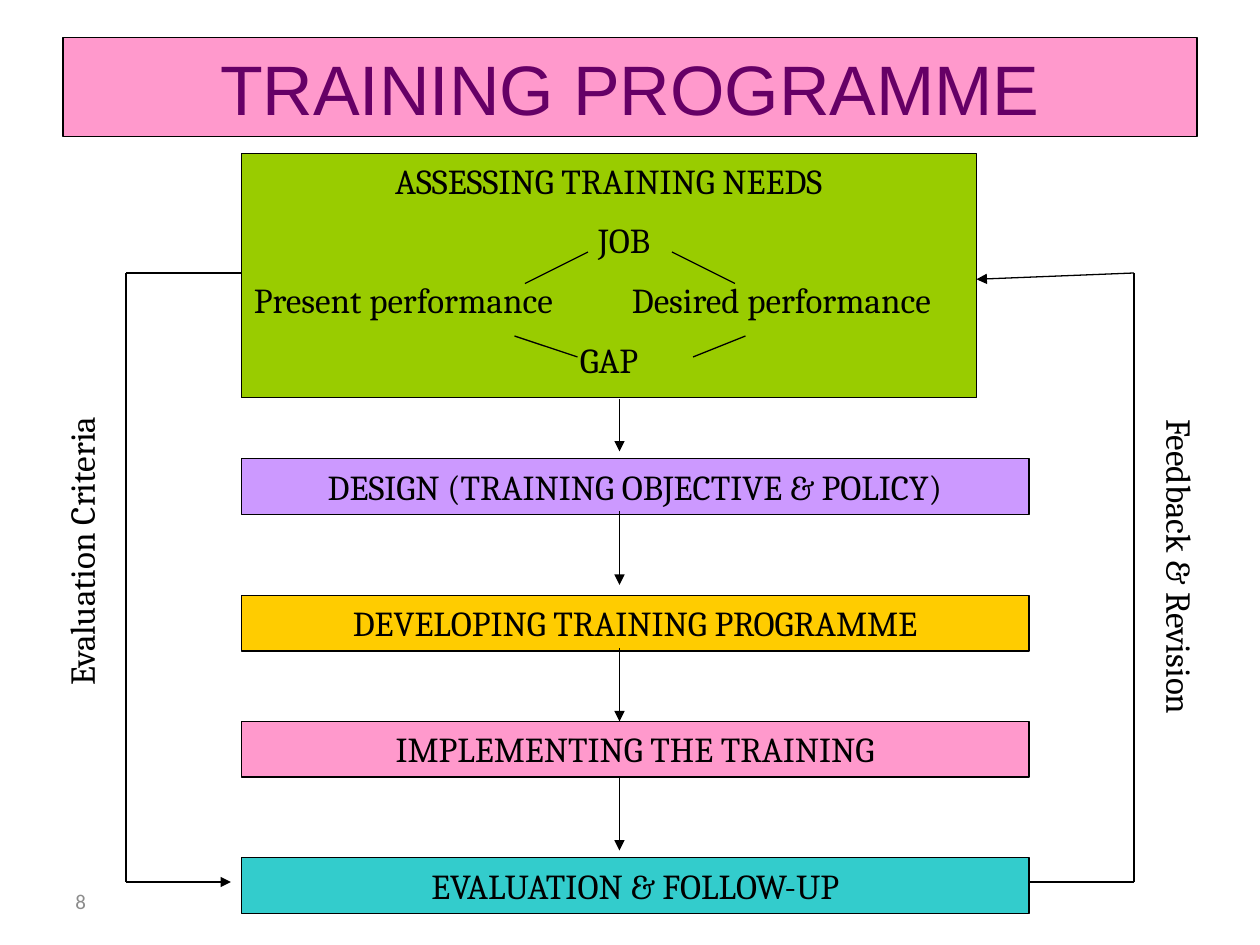
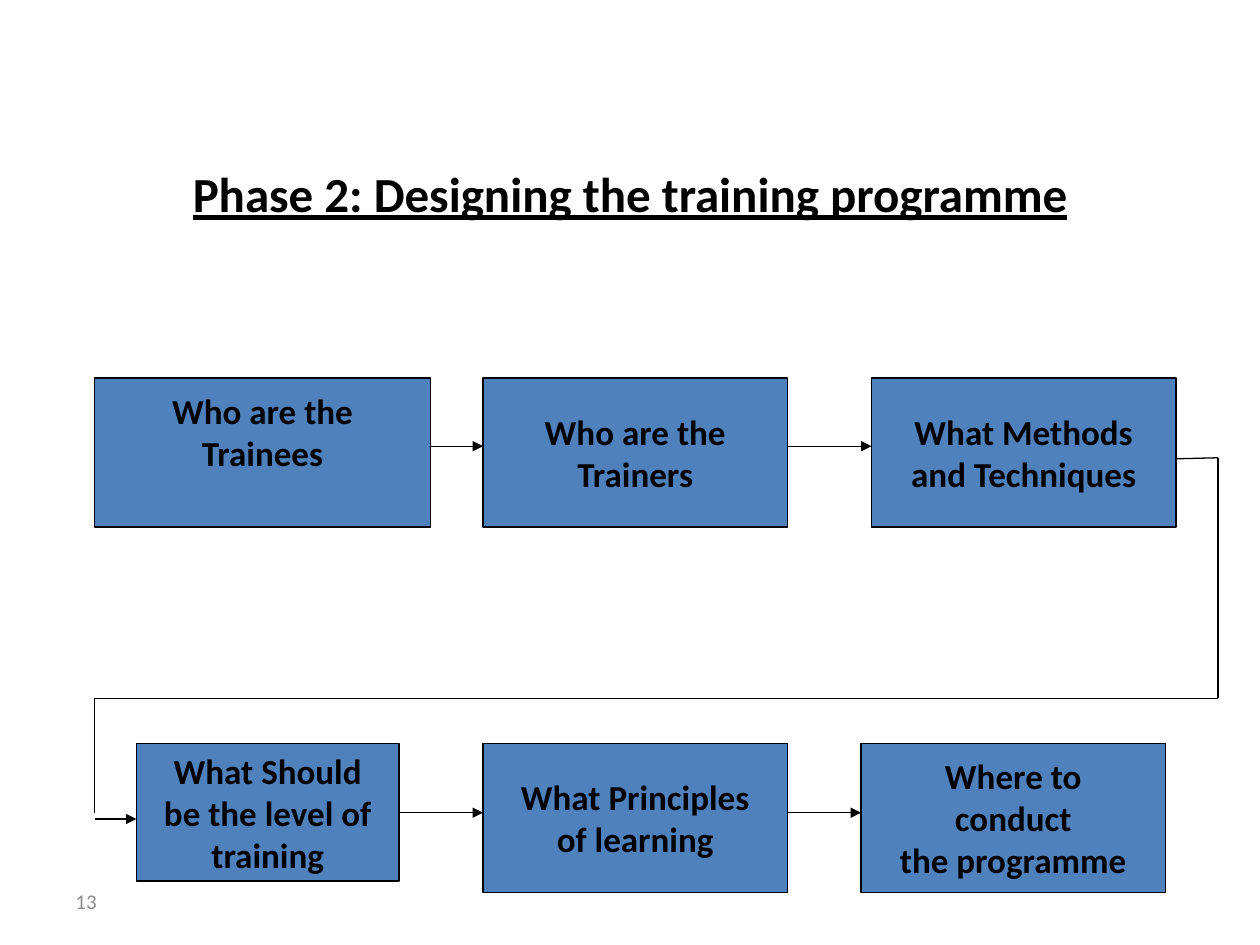
from itertools import pairwise

from lxml import etree
from pptx import Presentation
from pptx import util as u
from pptx.dml.color import RGBColor
from pptx.enum import shapes, text
from pptx.oxml import ns


class Theme:
    black, white, gray = "000000", "FFFFFF", "8C8C8C"
    plum, pink, green = "660066", "FF99CC", "99CC00"
    lilac, gold, teal, blue = "CC99FF", "FFCC00", "33CCCC", "4F81BD"
    sans, body, serif = "Arial", "Calibri", "Cambria"
    banner, head, label, small = 40, 28, 20, 12
    line, gap = 0.75, 10


MID, TOP = text.MSO_ANCHOR.MIDDLE, text.MSO_ANCHOR.TOP
CENTER, LEFT = text.PP_ALIGN.CENTER, text.PP_ALIGN.LEFT


class Deck:
    """Places elements on a grid of 120 columns by 90 rows."""
    cols, rows = 120, 90

    def __init__(self, theme):
        self.theme = theme
        self.prs = Presentation()
        self.prs.slide_width, self.prs.slide_height = u.Inches(10), u.Inches(7.5)

    def x(self, col):
        return round(self.prs.slide_width * col / self.cols)

    def y(self, row):
        return round(self.prs.slide_height * row / self.rows)

    def area(self, col, row, wide, high):
        return self.x(col), self.y(row), self.x(wide), self.y(high)

    def add(self, number):
        layout = self.prs.slide_layouts.get_by_name("Title Only")
        self.slide = self.prs.slides.add_slide(layout)
        t = self.theme
        self.note(str(number), (6, 83.4, 28, 4.8), t.body, t.small, t.gray, LEFT, MID)

    def label(self, shape, words, font, size, color, bold=False,
              align=CENTER, anchor=TOP, wrap=True, gap=0):
        frame = shape.text_frame
        frame.text = words
        frame.word_wrap, frame.vertical_anchor = wrap, anchor
        for i, para in enumerate(frame.paragraphs):
            para.alignment = align
            para.space_before = u.Pt(gap if i else 0)
            para.font.name, para.font.size = font, u.Pt(size)
            para.font.bold = bold
            para.font.color.rgb = RGBColor.from_string(color)
        return frame

    def paint(self, shape, fill, edge=True):
        shape.fill.solid()
        shape.fill.fore_color.rgb = RGBColor.from_string(fill)
        if edge:
            self.ink(shape.line)

    def ink(self, line):
        line.color.rgb = RGBColor.from_string(self.theme.black)
        line.width = u.Pt(self.theme.line)

    def title(self, words, area, fill, edge, *style, **extra):
        shape = self.slide.shapes.title
        shape.left, shape.top, shape.width, shape.height = self.area(*area)
        self.paint(shape, fill, edge)
        frame = self.label(shape, words, *style, **extra)
        frame.auto_size = text.MSO_AUTO_SIZE.NONE
        return frame

    def box(self, words, area, fill, font, **extra):
        shape = self.slide.shapes.add_shape(
            shapes.MSO_SHAPE.RECTANGLE, *self.area(*area))
        shape.shadow.inherit = False
        self.paint(shape, fill)
        return self.label(shape, words, font, self.theme.label,
                          self.theme.black, **extra)

    def note(self, words, area, font, size, color, align=CENTER, anchor=TOP, turn=0):
        shape = self.slide.shapes.add_textbox(*self.area(*area))
        shape.rotation = turn
        self.label(shape, words, font, size, color, align=align, anchor=anchor)

    def route(self, *points, arrow=False):
        """Joins the points with straight lines; the last may carry an arrow."""
        for (c1, r1), (c2, r2) in pairwise(points):
            link = self.slide.shapes.add_connector(
                shapes.MSO_CONNECTOR.STRAIGHT,
                self.x(c1), self.y(r1), self.x(c2), self.y(r2))
            self.ink(link.line)
            props = link.element.spPr
            etree.SubElement(props, ns.qn("a:effectLst"))
        if arrow:
            etree.SubElement(props.find(ns.qn("a:ln")),
                             ns.qn("a:tailEnd"), type="triangle")


def cycle(deck):
    t = deck.theme
    deck.add(8)
    deck.title("TRAINING PROGRAMME", (6, 3.6, 108, 9.4), t.pink, True,
               t.sans, t.banner, t.plum, anchor=MID)

    # Needs panel with the job and gap diamond
    needs = deck.box("ASSESSING TRAINING NEEDS\nJOB\n"
                     "Present performance\tDesired performance\nGAP",
                     (23, 14.6, 70, 23.3), t.green, t.serif, gap=t.gap)
    job, pair = needs.paragraphs[1:3]
    job._p.get_or_add_pPr().set("marL", str(u.Inches(0.24)))
    pair.alignment = LEFT
    tabs = etree.Element(ns.qn("a:tabLst"))
    etree.SubElement(tabs, ns.qn("a:tab"), pos=str(u.Inches(3)), algn="l")
    pair._p.pPr.find(ns.qn("a:defRPr")).addprevious(tabs)
    for ends in (((50, 27), (56, 24)), ((64, 24), (70, 27)),
                 ((49, 32), (55, 34)), ((66, 34), (71, 32))):
        deck.route(*ends)

    # Stages below the panel
    for words, row, fill in (
            ("DESIGN (TRAINING OBJECTIVE & POLICY)", 43.7, t.lilac),
            ("DEVELOPING TRAINING PROGRAMME", 56.7, t.gold),
            ("IMPLEMENTING THE TRAINING", 68.7, t.pink),
            ("EVALUATION & FOLLOW-UP", 81.7, t.teal)):
        deck.box(words, (23, row, 75, 5.3), fill, t.serif)
    for start, end in ((38, 43), (48.7, 55.7), (61.7, 68.7), (74, 81)):
        deck.route((59, start), (59, end), arrow=True)

    # Side loops and their labels
    deck.route((23, 26), (12, 26), (12, 84), (22, 84), arrow=True)
    deck.route((98, 84), (108, 84), (108, 26), (93, 26.6), arrow=True)
    for words, area, turn in (
            ("Evaluation Criteria", (-12.8, 49.9, 41, 5.2), 270),
            ("Feedback & Revision", (93.4, 51.4, 38, 5.2), 90)):
        deck.note(words, area, t.serif, t.label, t.black, turn=turn)


def design(deck):
    t = deck.theme
    deck.add(13)
    head = deck.title("Phase 2: Designing the training programme",
                      (6, 15, 108, 16), t.white, False,
                      t.body, t.head, t.black, bold=True)
    head.paragraphs[0].font.underline = True

    # Two rows of questions: row, arrow row, then words, column, width, height
    flow = (
        (36, 42.5, (("Who are the\nTrainees", 9, 32, 14.2),
                    ("Who are the\nTrainers", 46, 29, 14.2),
                    ("What Methods\nand Techniques", 83, 29, 14.2))),
        (70.8, 77.4, (("What Should\nbe the level of\ntraining", 13, 25, 13.1),
                      ("What Principles\nof learning", 46, 29, 14.2),
                      ("Where to\nconduct\nthe programme", 82, 29, 14.2))))
    frames = []
    for row, mid, steps in flow:
        for words, col, wide, high in steps:
            frames.append(deck.box(words, (col, row, wide, high), t.blue, t.body,
                                   bold=True, anchor=MID, wrap=False))
        for (_, col, wide, _), (_, after, _, _) in pairwise(steps):
            deck.route((col + wide, mid), (after, mid), arrow=True)
    frames[0].margin_bottom = u.Inches(0.39)

    # Return line from the first row to the second
    deck.route((112, 43.7), (116, 43.6), (116, 66.5), (9, 66.5), (9, 77.4))
    deck.route((9, 78), (13, 78), arrow=True)


def main():
    deck = Deck(Theme())
    cycle(deck)
    design(deck)
    deck.prs.save("out.pptx")


if __name__ == "__main__":
    main()
